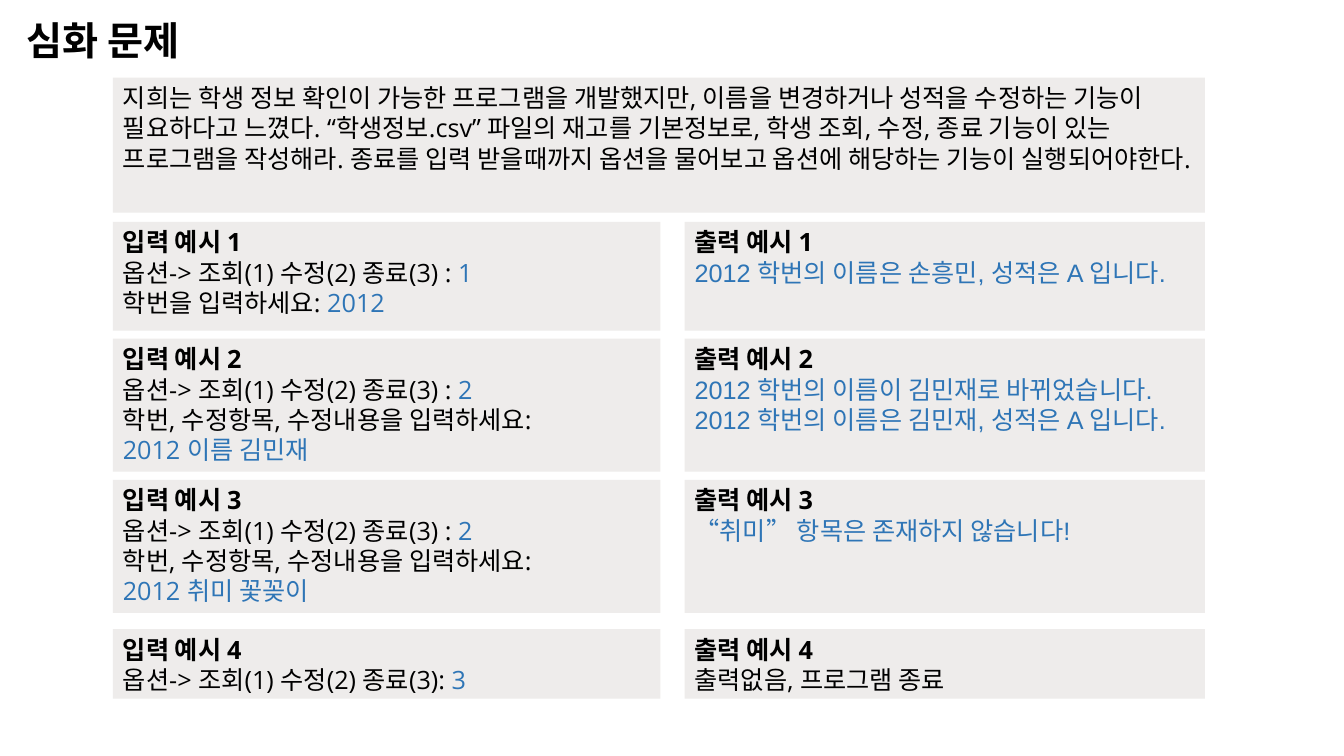
from dataclasses import dataclass

from pptx import Presentation
from pptx.dml.color import RGBColor as Rgb
from pptx.enum.shapes import MSO_SHAPE as Preset
from pptx.enum.text import MSO_ANCHOR as Anchor, MSO_AUTO_SIZE as AutoSize, PP_ALIGN as Align
from pptx.slide import Slide
from pptx.text.text import TextFrame, _Paragraph as Paragraph
from pptx.util import Inches, Pt

COLORS = {"panel": "EEECEB", "text": "000000", "answer": "2E75B6"}
LEFT, INPUT_WIDTH = 1.12, 5.43
OUTPUT_LEFT, OUTPUT_WIDTH = 6.79, 5.16
OPTIONS = "옵션-> 조회(1) 수정(2) 종료(3) : "
EDIT_PROMPT = "학번, 수정항목, 수정내용을 입력하세요: \v"


@dataclass
class Line:
    prompt: str = ""
    answer: str = ""


@dataclass
class Example:
    top: float
    height: float
    entries: list[Line]
    result: Line


EXAMPLES = [
    Example(2.2, 1.08, [Line(OPTIONS, "1"), Line("학번을 입력하세요: ", "2012")],
            Line(answer="2012 학번의 이름은 손흥민, 성적은 A 입니다.")),
    Example(3.36, 1.32, [Line(OPTIONS, "2"), Line(EDIT_PROMPT, "2012 이름 김민재")],
            Line(answer="2012 학번의 이름이 김민재로 바뀌었습니다. "
                        "2012 학번의 이름은 김민재, 성적은 A 입니다.")),
    Example(4.76, 1.32, [Line(OPTIONS, "2"), Line(EDIT_PROMPT, "2012 취미 꽃꽂이")],
            Line(answer="“취미” 항목은 존재하지 않습니다!")),
    Example(6.24, 0.69, [Line("옵션-> 조회(1) 수정(2) 종료(3):", " 3")],
            Line("출력없음, 프로그램 종료")),
]


def write(paragraph: Paragraph, text: str, *, size: float = 18, font: str = "Open Sans",
          color: str = "text", bold: bool = False) -> None:
    """Append formatted text; a vertical tab marks a line break."""
    for index, piece in enumerate(text.split("\v")):
        if index:
            paragraph.add_line_break()
        if piece:
            run = paragraph.add_run()
            run.text = piece
            run.font.size, run.font.name, run.font.bold = Pt(size), font, bold
            run.font.color.rgb = Rgb.from_string(COLORS[color])


def add_panel(slide: Slide, left: float, top: float, width: float, height: float) -> TextFrame:
    panel = slide.shapes.add_shape(Preset.RECTANGLE, Inches(left), Inches(top),
                                   Inches(width), Inches(height))
    panel.shadow.inherit = False
    panel.fill.solid()
    panel.fill.fore_color.rgb = Rgb.from_string(COLORS["panel"])
    panel.line.fill.background()
    frame = panel.text_frame
    frame.word_wrap = True
    frame.vertical_anchor = Anchor.TOP
    frame.paragraphs[0].alignment = Align.LEFT
    return frame


def add_example_panel(slide: Slide, left: float, width: float, example: Example,
                      heading: str, lines: list[Line], answer_font: str) -> None:
    frame = add_panel(slide, left, example.top, width, example.height)
    write(frame.paragraphs[0], heading, bold=True)
    for line in lines:
        paragraph = frame.add_paragraph()
        paragraph.alignment = Align.LEFT
        write(paragraph, line.prompt)
        write(paragraph, line.answer, font=answer_font, color="answer")


def add_heading(slide: Slide) -> None:
    heading = slide.shapes.title
    heading.left, heading.top = Inches(-0.17), Inches(0.08)
    heading.width, heading.height = Inches(2.38), Inches(0.6)
    frame = heading.text_frame
    frame.auto_size = AutoSize.NONE
    frame.vertical_anchor = Anchor.BOTTOM
    paragraph = frame.paragraphs[0]
    paragraph.alignment = Align.CENTER
    paragraph.line_spacing = 0.9
    paragraph.space_before = Pt(10)
    write(paragraph, "심화 문제", size=28, font="Noto Sans CJK KR", bold=True)


def main() -> None:
    deck = Presentation()
    deck.slide_width, deck.slide_height = Inches(13.33), Inches(7.5)
    slide = deck.slides.add_slide(deck.slide_layouts[5])
    add_heading(slide)

    # Problem statement
    statement = add_panel(slide, LEFT, 0.77, OUTPUT_LEFT + OUTPUT_WIDTH - LEFT, 1.34)
    write(statement.paragraphs[0],
          "지희는 학생 정보 확인이 가능한 프로그램을 개발했지만, 이름을 변경하거나 성적을 수정하는 기능이 "
          "필요하다고 느꼈다. “학생정보.csv” 파일의 재고를 기본정보로, 학생 조회, 수정, 종료 기능이 있는 "
          "프로그램을 작성해라. 종료를 입력 받을때까지 옵션을 물어보고 옵션에 해당하는 기능이 "
          "실행되어야한다.")

    # Input and output examples
    for number, example in enumerate(EXAMPLES, start=1):
        add_example_panel(slide, LEFT, INPUT_WIDTH, example,
                          f"입력 예시 {number}", example.entries, "Open Sans")
        add_example_panel(slide, OUTPUT_LEFT, OUTPUT_WIDTH, example,
                          f"출력 예시 {number}", [example.result], "Arial")

    deck.save("out.pptx")


if __name__ == "__main__":
    main()
